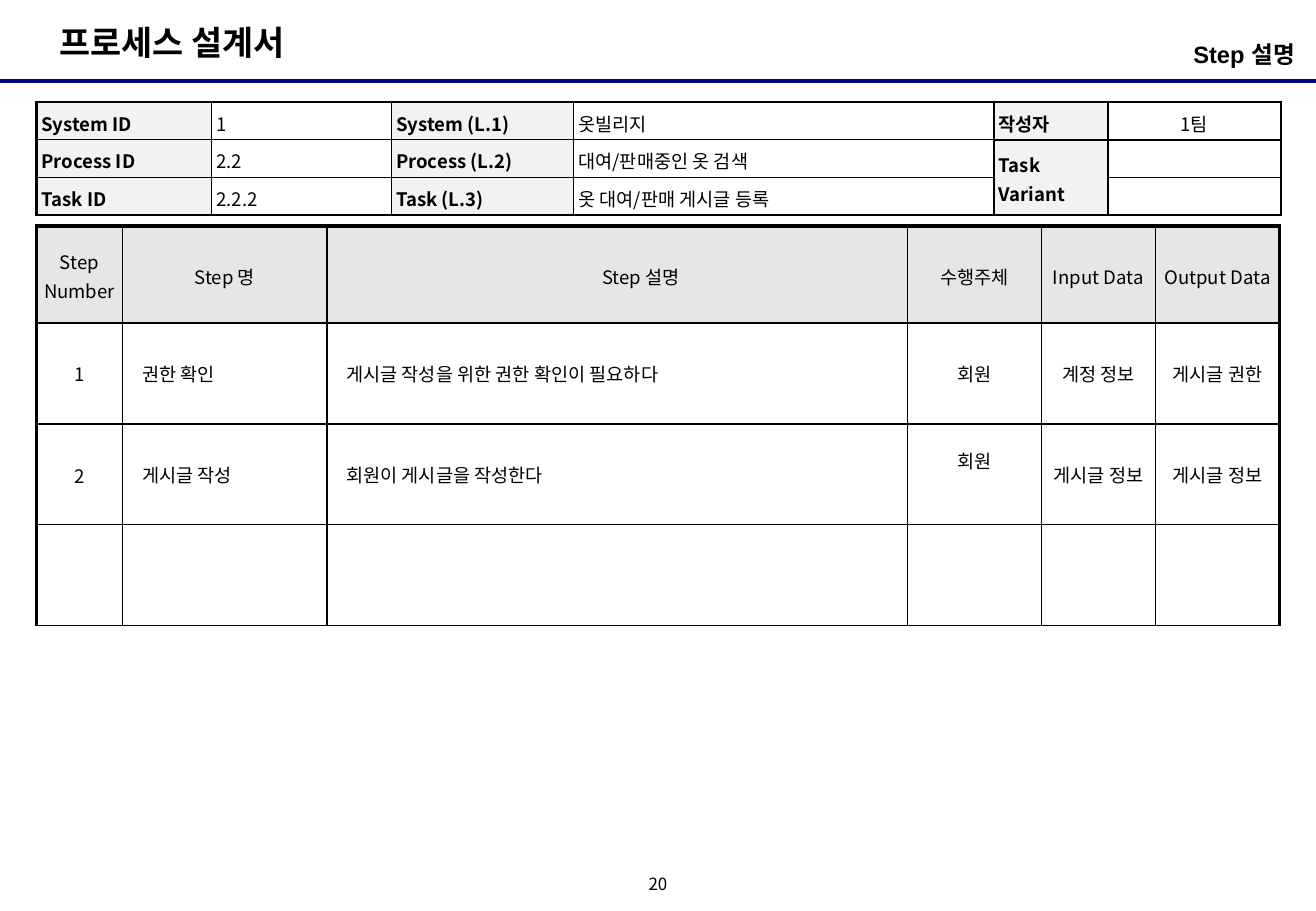
from pptx import Presentation
from pptx.dml.color import RGBColor
from pptx.enum import shapes, text
from pptx.oxml.xmlchemy import OxmlElement
from pptx.util import Inches, Pt

HUES = {"ink": "000000", "rule": "000080", "label": "F2F2F2", "head": "E6E6E6"}
FACE = "Noto Sans CJK KR"
LEFT, MID, RIGHT = text.PP_ALIGN.LEFT, text.PP_ALIGN.CENTER, text.PP_ALIGN.RIGHT
TOP, CENTER = text.MSO_ANCHOR.TOP, text.MSO_ANCHOR.MIDDLE


def write(frame, words, size, bold=False, align=LEFT, face=FACE):
    """Put words in a text frame, with Latin and Korean fonts."""
    frame.text = words
    para = frame.paragraphs[0]
    para.alignment = align
    for run in para.runs:
        run.font.size, run.font.bold, run.font.name = Pt(size), bold, face
        run.font.color.rgb = RGBColor.from_string(HUES["ink"])
        east = OxmlElement("a:ea")
        east.set("typeface", FACE)
        run.font._element.find(run.font._element.nsmap["a"].join("{}") + "latin").addnext(east)
    if not words:
        end = OxmlElement("a:endParaRPr")
        end.set("sz", str(size * 100))
        para._p.append(end)
    return para


def border(cell, sides):
    """Draw the cell's edges; sides maps L, R, T and B to points."""
    props = cell._tc.get_or_add_tcPr()
    for side in "LRTB":
        line = OxmlElement(f"a:ln{side}")
        line.set("w", str(Pt(sides[side])))
        fill = OxmlElement("a:solidFill")
        hue = OxmlElement("a:srgbClr")
        hue.set("val", HUES["ink"])
        fill.append(hue)
        line.append(fill)
        props.append(line)


deck = Presentation()
deck.slide_width, deck.slide_height = Inches(10.83), Inches(7.5)
slide = deck.slides.add_slide(deck.slide_layouts[6])

# Header and page number
rule = slide.shapes.add_connector(shapes.MSO_CONNECTOR.STRAIGHT, 0, Inches(0.67), Inches(10.83), Inches(0.67))
rule.line.color.rgb = RGBColor.from_string(HUES["rule"])
rule.line.width = Pt(2.25)
rule._element.spPr.append(OxmlElement("a:effectLst"))

title = slide.shapes.add_textbox(Inches(0.39), Inches(0.13), Inches(2.26), Inches(0.44))
title.text_frame.word_wrap = False
write(title.text_frame, "프로세스 설계서", 20, True)

topic = slide.shapes.add_textbox(Inches(7.39), Inches(0.28), Inches(3.31), Inches(0.39))
frame = topic.text_frame
frame.word_wrap = True
frame.margin_left = frame.margin_right = 0
write(frame, "Step 설명 ", 14, True, RIGHT, "Arial")

page = slide.shapes.add_textbox(Inches(5.25), Inches(7.17), Inches(0.33), Inches(0.25))
frame = page.text_frame
frame.word_wrap = False
frame.vertical_anchor = CENTER
frame.margin_left = frame.margin_right = frame.margin_top = frame.margin_bottom = 0
write(frame, "20", 10, align=MID).line_spacing = 0.8

# Tables
info = {
    "top": 0.84, "cols": [1.44, 1.48, 1.5, 3.46, 0.94, 1.42], "rows": [0.31] * 3,
    "edge": 1.5, "foot": 1.5, "pad": 0.04,
    "heavy": {(0, 4, "B"), (0, 5, "B"), (1, 4, "T"), (1, 5, "T"), (1, 4, "B")},
    "cells": [
        ["System ID", "1", "System (L.1)", "옷빌리지", "작성자", "1팀"],
        ["Process ID", "2.2", "Process (L.2)", "대여/판매중인 옷 검색", "Task Variant", ""],
        ["Task ID", "2.2.2", "Task (L.3)", "옷 대여/판매 게시글 등록", "", ""],
    ],
}
steps = {
    "top": 1.86, "cols": [0.71, 1.68, 4.78, 1.1, 0.94, 1.02], "rows": [0.8] + [0.83] * 3,
    "edge": 2.25, "foot": 1, "pad": 0.06, "heavy": set(),
    "cells": [
        ["Step Number", "Step 명", "Step 설명", "수행주체", "Input Data", "Output Data"],
        ["1", "권한 확인", "게시글 작성을 위한 권한 확인이 필요하다", "회원", "계정 정보", "게시글 권한"],
        ["2", "게시글 작성", "회원이 게시글을 작성한다", "회원", "게시글 정보", "게시글 정보"],
        [""] * 6,
    ],
}
for plan in (info, steps):
    cols, rows = plan["cols"], plan["rows"]
    grid = slide.shapes.add_table(len(rows), len(cols), Inches(0.3), Inches(plan["top"]),
                                  Inches(sum(cols)), Inches(sum(rows))).table
    grid.first_row = grid.horz_banding = False
    for col, width in zip(grid.columns, cols):
        col.width = Inches(width)
    for row, height in zip(grid.rows, rows):
        row.height = Inches(height)
    if plan is info:
        grid.cell(1, 4).merge(grid.cell(2, 4))
    for r, line in enumerate(plan["cells"]):
        for c, words in enumerate(line):
            cell = grid.cell(r, c)
            label = plan is info and c % 2 == 0
            head = plan is steps and r == 0
            prose = plan is steps and r > 0 and c in (1, 2)
            centred = c == 5 if plan is info else not prose
            cell.margin_left = cell.margin_right = Inches(plan["pad"])
            cell.margin_top = cell.margin_bottom = Inches(0.04)
            cell.vertical_anchor = TOP if plan is info and c < 4 else CENTER
            para = write(cell.text_frame, words, 11, label, MID if centred else LEFT)
            if plan is info or head or words == "2":
                para.line_spacing = 1.1
            if prose or (head and c == 2):
                para._p.get_or_add_pPr().set("marL", str(Inches(0.39 if head else 0.1)))
            sides = {
                "L": plan["edge"] if c == 0 else 1,
                "R": plan["edge"] if c == len(cols) - 1 else 1,
                "T": plan["edge"] if r == 0 else 1,
                "B": plan["foot"] if r == len(rows) - 1 else 1,
            }
            for side in sides:
                if (r, c, side) in plan["heavy"]:
                    sides[side] = plan["edge"]
            border(cell, sides)
            if label or head:
                cell.fill.solid()
                cell.fill.fore_color.rgb = RGBColor.from_string(HUES["label" if label else "head"])
            else:
                cell.fill.background()
    if plan is steps:
        grid.cell(2, 3).margin_bottom = Inches(0.27)

deck.save("out.pptx")
